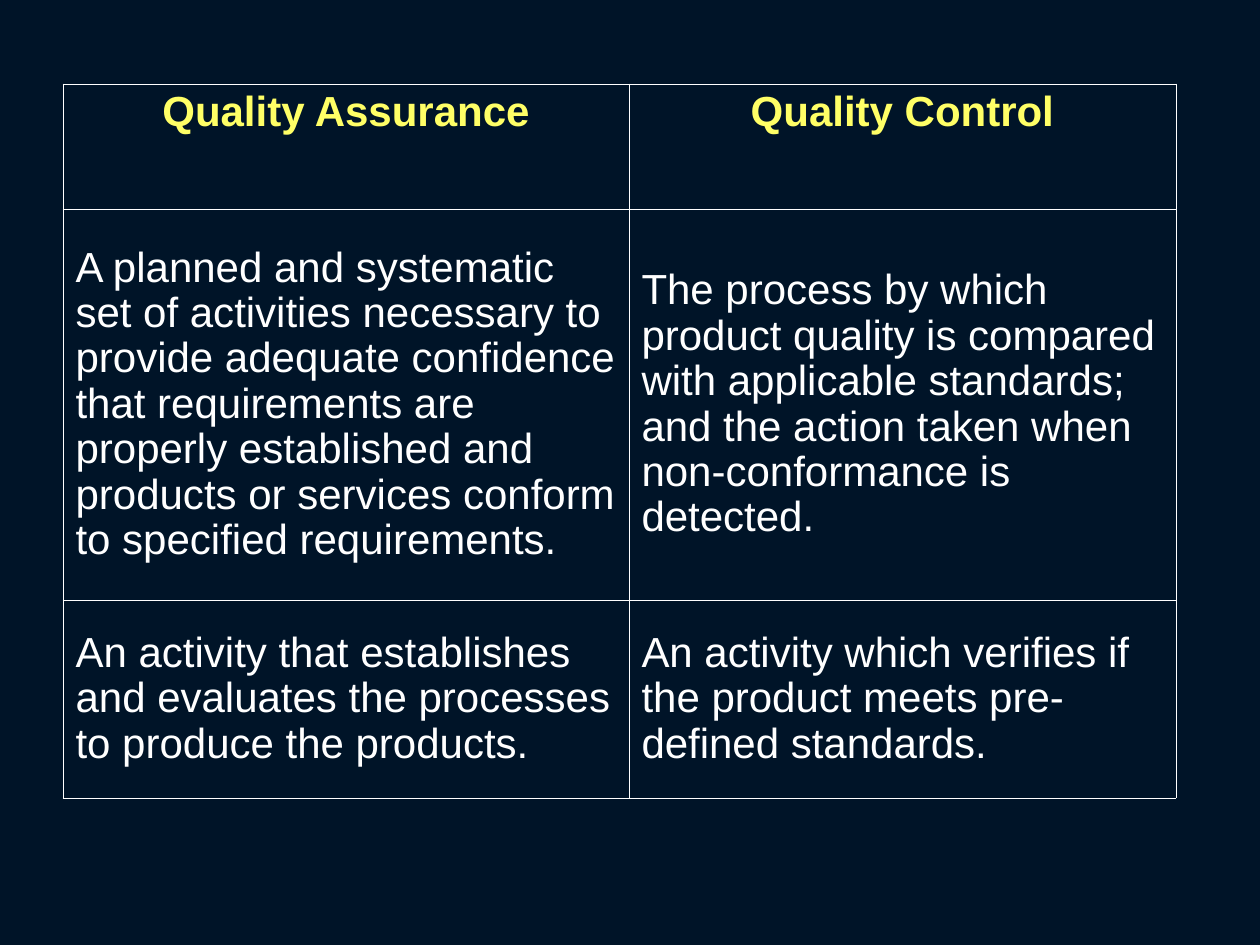
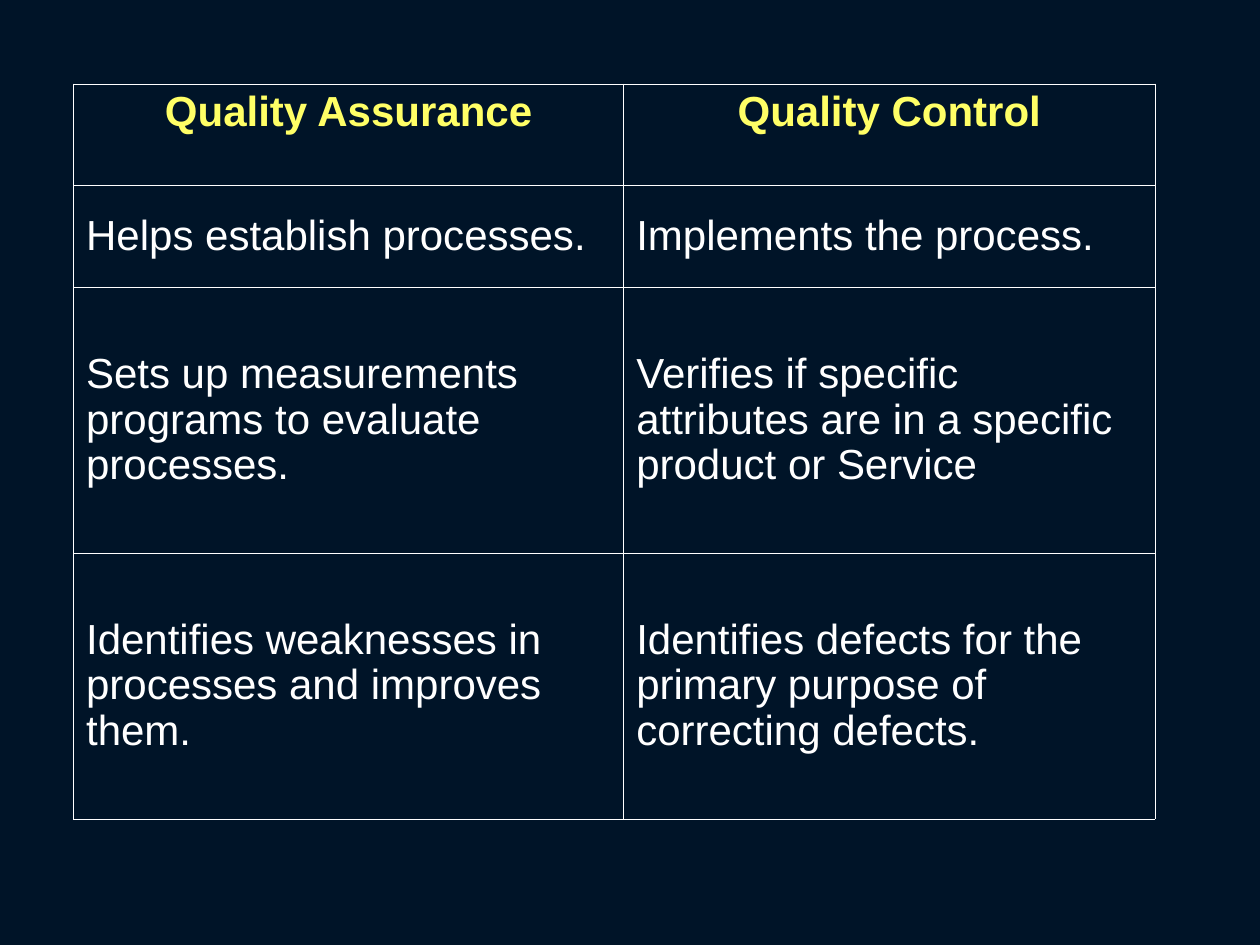
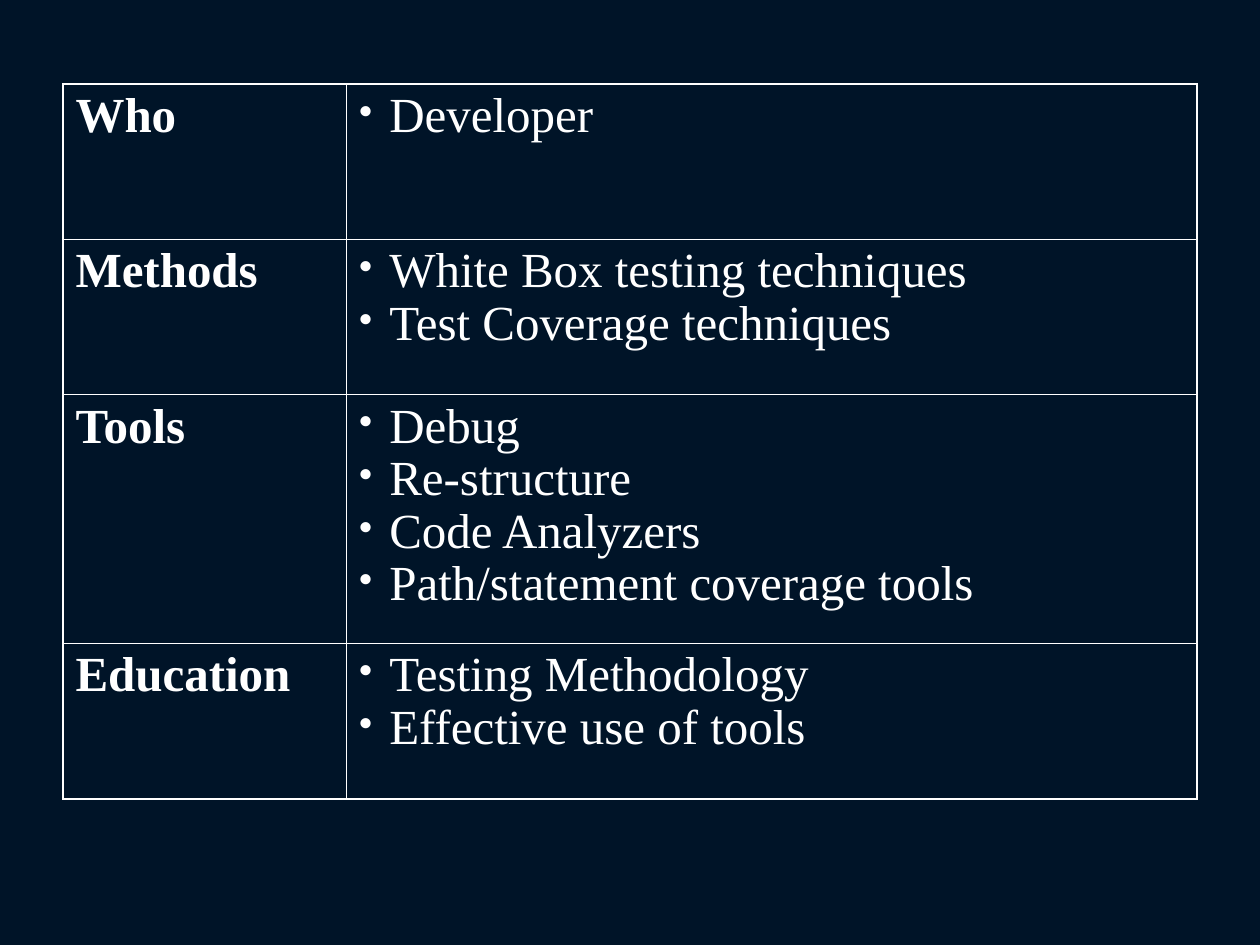
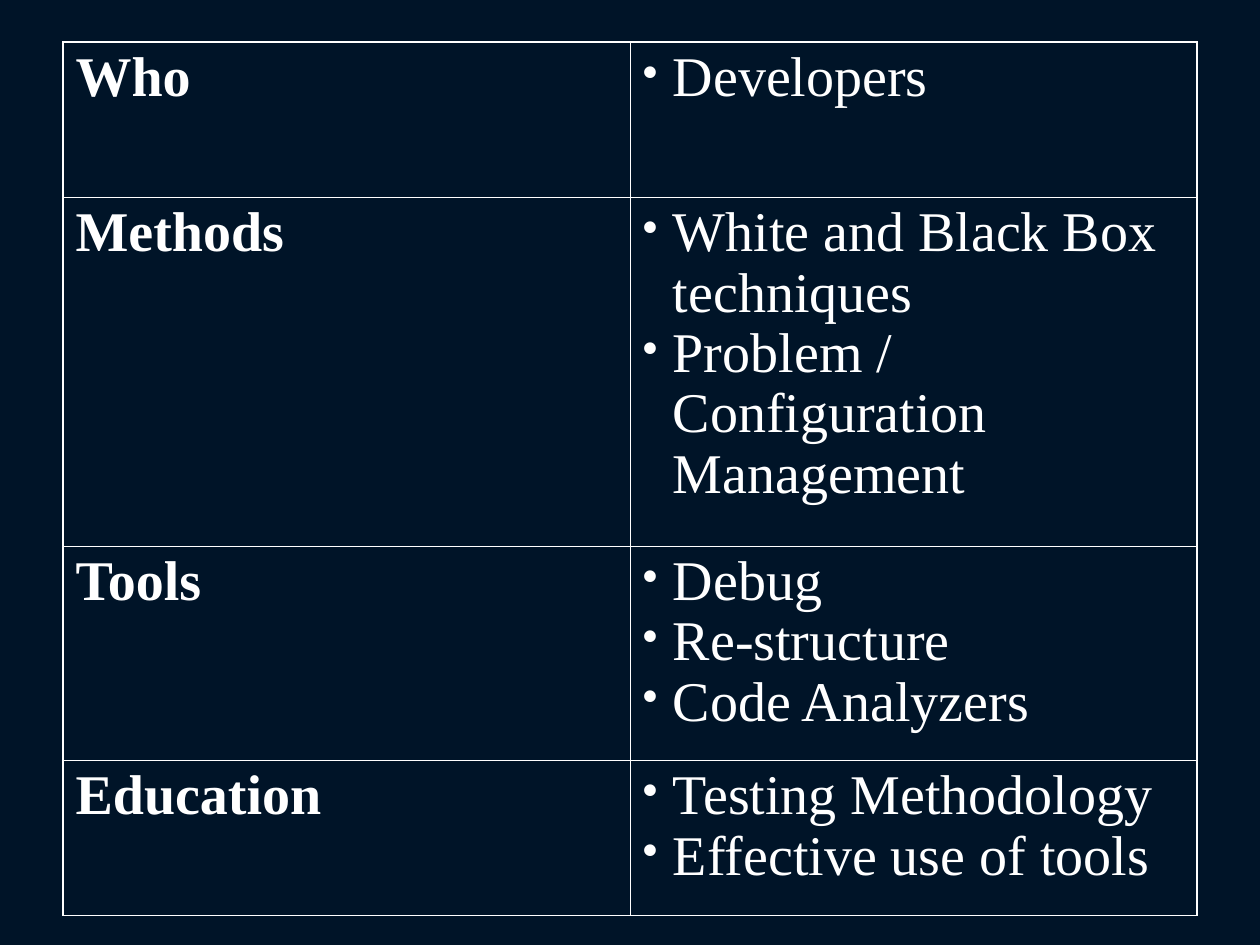
from dataclasses import dataclass

from lxml.etree import SubElement
from pptx import Presentation
from pptx.dml.color import RGBColor
from pptx.enum.text import MSO_ANCHOR, PP_ALIGN
from pptx.oxml import parse_xml
from pptx.oxml.ns import nsdecls, qn
from pptx.util import Inches, Pt

BACKGROUND = "001428"
WHITE = "FFFFFF"
YELLOW = "FFFF66"
SANS = "Arial"
SERIF = "Times New Roman"
SLIDE_WIDTH, SLIDE_HEIGHT = Inches(10), Inches(7.5)
GRID_COLUMNS = 120
UNIT = SLIDE_WIDTH / GRID_COLUMNS
THIN, THICK = 0.45, 1.08
LINE_SPACING = 0.97
BULLET_INDENT = Inches(0.24)


@dataclass(frozen=True)
class Grid:
    left: float
    top: float
    columns: tuple[float, ...]
    rows: tuple[float, ...]


@dataclass(frozen=True)
class Comparison:
    grid: Grid
    rows: tuple[tuple[str, str], ...]


@dataclass(frozen=True)
class Profile:
    grid: Grid
    size: float
    rows: tuple[tuple[str, tuple[str, ...]], ...]


COMPARISON_HEADINGS = ("Quality Assurance", "Quality Control")

COMPARISONS = (
    Comparison(
        Grid(6, 8, (53.9, 52.1), (11.9, 37.3, 18.8)),
        (
            (
                "A planned and systematic set of activities necessary to provide "
                "adequate confidence that requirements are properly established "
                "and products or services conform to specified requirements.",
                "The process by which product quality is compared with applicable "
                "standards; and the action taken when non-conformance is detected.",
            ),
            (
                "An activity that establishes and evaluates the processes to "
                "produce the products.",
                "An activity which verifies if the product meets pre-defined standards.",
            ),
        ),
    ),
    Comparison(
        Grid(7, 8, (52.4, 50.6), (9.7, 9.7, 25.3, 25.3)),
        (
            ("Helps establish processes.", "Implements the process."),
            (
                "Sets up measurements programs to evaluate processes.",
                "Verifies if specific attributes are in a specific product or Service",
            ),
            (
                "Identifies weaknesses in processes and improves them.",
                "Identifies defects for the primary purpose of correcting defects.",
            ),
        ),
    ),
)

PROFILES = (
    Profile(
        Grid(6, 8, (27, 81), (14.8, 14.8, 23.7, 14.8)),
        28,
        (
            ("Who", ("Developer",)),
            ("Methods", ("White Box testing techniques", "Test Coverage techniques")),
            ("Tools", ("Debug", "Re-structure", "Code Analyzers",
                       "Path/statement coverage tools")),
            ("Education", ("Testing Methodology", "Effective use of tools")),
        ),
    ),
    Profile(
        Grid(6, 4, (54, 54), (14.8, 33.2, 20.4, 14.8)),
        32,
        (
            ("Who", ("Developers",)),
            ("Methods", ("White and Black Box techniques",
                         "Problem / Configuration Management")),
            ("Tools", ("Debug", "Re-structure", "Code Analyzers")),
            ("Education", ("Testing Methodology", "Effective use of tools")),
        ),
    ),
)


def units(count: float) -> int:
    return round(count * UNIT)


def color(value: str) -> RGBColor:
    return RGBColor.from_string(value)


def add_bullet(paragraph) -> None:
    properties = paragraph._p.get_or_add_pPr()
    properties.set("marL", str(BULLET_INDENT))
    properties.set("indent", str(-BULLET_INDENT))
    bullet_color = SubElement(properties, qn("a:buClr"))
    SubElement(bullet_color, qn("a:srgbClr"), val=WHITE)
    SubElement(properties, qn("a:buSzPct"), val="80000")
    SubElement(properties, qn("a:buChar"), char="•")


def write_text(cell, *lines: str, size: float = 24, font: str = SANS,
               fill: str = WHITE, bold: bool = False, bullet: bool = False,
               align: PP_ALIGN = PP_ALIGN.LEFT,
               anchor: MSO_ANCHOR = MSO_ANCHOR.TOP) -> None:
    cell.vertical_anchor = anchor
    frame = cell.text_frame
    for index, line in enumerate(lines):
        paragraph = frame.add_paragraph() if index else frame.paragraphs[0]
        paragraph.alignment = align
        paragraph.line_spacing = LINE_SPACING
        if bullet:
            add_bullet(paragraph)
        run = paragraph.add_run()
        run.text = line
        run.font.name = font
        run.font.size = Pt(size)
        run.font.bold = bold
        run.font.color.rgb = color(fill)


def set_borders(cell, widths: dict[str, float]) -> None:
    properties = cell._tc.get_or_add_tcPr()
    for index, (side, width) in enumerate(widths.items()):
        properties.insert(index, parse_xml(
            f'<a:ln{side} {nsdecls("a")} w="{Pt(width)}">'
            f'<a:solidFill><a:srgbClr val="{WHITE}"/></a:solidFill>'
            f'</a:ln{side}>'))


def add_grid_table(slide, grid: Grid, outline: float):
    row_count, column_count = len(grid.rows), len(grid.columns)
    table = slide.shapes.add_table(
        row_count, column_count, units(grid.left), units(grid.top),
        units(sum(grid.columns)), units(sum(grid.rows))).table
    table.first_row = False
    table.horz_banding = False
    for column, width in zip(table.columns, grid.columns):
        column.width = units(width)
    for row, height in zip(table.rows, grid.rows):
        row.height = units(height)
    for row_index in range(row_count):
        for column_index in range(column_count):
            cell = table.cell(row_index, column_index)
            cell.fill.background()
            on_outline = {
                "L": column_index == 0,
                "R": column_index == column_count - 1,
                "T": row_index == 0,
                "B": row_index == row_count - 1,
            }
            set_borders(cell, {side: outline if outer else THIN
                               for side, outer in on_outline.items()})
    return table


def draw_comparison(slide, comparison: Comparison) -> None:
    table = add_grid_table(slide, comparison.grid, THIN)
    for column, heading in enumerate(COMPARISON_HEADINGS):
        write_text(table.cell(0, column), heading, fill=YELLOW, bold=True,
                   align=PP_ALIGN.CENTER)
    for row, statements in enumerate(comparison.rows, start=1):
        for column, statement in enumerate(statements):
            write_text(table.cell(row, column), statement, anchor=MSO_ANCHOR.MIDDLE)


def draw_profile(slide, profile: Profile) -> None:
    table = add_grid_table(slide, profile.grid, THICK)
    for row, (aspect, items) in enumerate(profile.rows):
        write_text(table.cell(row, 0), aspect, size=profile.size, font=SERIF, bold=True)
        write_text(table.cell(row, 1), *items, size=profile.size, font=SERIF, bullet=True)


def add_slide(presentation):
    slide = presentation.slides.add_slide(presentation.slide_layouts[6])
    slide.background.fill.solid()
    slide.background.fill.fore_color.rgb = color(BACKGROUND)
    return slide


def main() -> None:
    presentation = Presentation()
    presentation.slide_width = SLIDE_WIDTH
    presentation.slide_height = SLIDE_HEIGHT
    for comparison in COMPARISONS:
        draw_comparison(add_slide(presentation), comparison)
    for profile in PROFILES:
        draw_profile(add_slide(presentation), profile)
    presentation.save("out.pptx")


if __name__ == "__main__":
    main()
